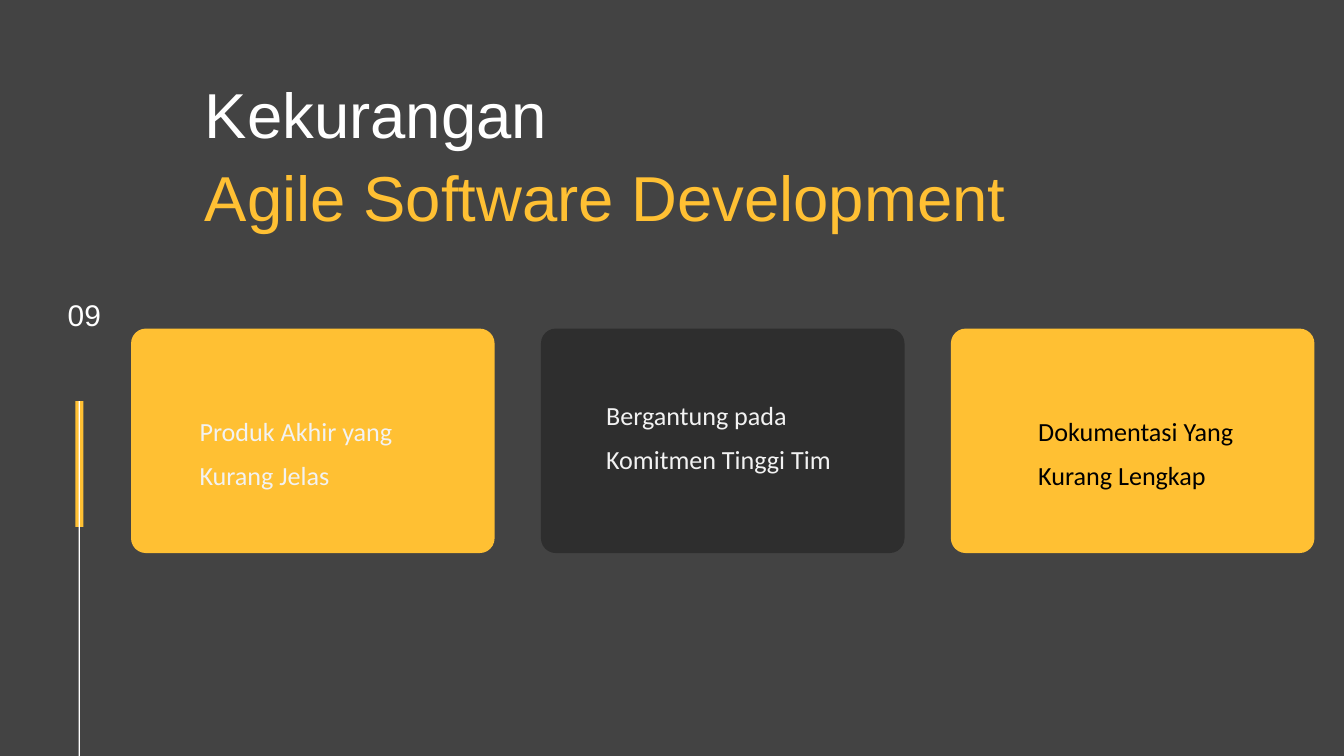
"""Build the slide on the drawbacks of agile software development."""
from dataclasses import dataclass

from pptx import Presentation
from pptx.dml.color import RGBColor
from pptx.enum.shapes import MSO_SHAPE
from pptx.enum.text import MSO_AUTO_SIZE, PP_ALIGN
from pptx.util import Inches, Pt


@dataclass(frozen=True)
class Theme:
    background: str = "434343"
    accent: str = "FFC033"
    dark: str = "2E2E2E"
    white: str = "FFFFFF"
    pale: str = "F2F2F2"
    black: str = "000000"
    heading_font: str = "Arial"
    body_font: str = "Calibri"
    title_size: int = 68
    number_size: int = 32
    body_size: int = 28


THEME = Theme()

TITLE = [("Kekurangan", THEME.white), ("Agile Software Development", THEME.accent)]
PAGE_NUMBER = [("09", THEME.white)]
CARDS = [
    ("Produk Akhir yang Kurang Jelas", THEME.accent, THEME.pale, (2.97, 5.99, 3.87, 1.06)),
    ("Bergantung pada Komitmen Tinggi Tim", THEME.dark, THEME.pale, (9.02, 5.76, 3.52, 1.06)),
    ("Dokumentasi Yang Kurang Lengkap", THEME.accent, THEME.black, (15.45, 6, 2.95, 1.06)),
]
RAIL = [((1.12, 5.97, 0.12, 1.87), THEME.accent), ((1.17, 5.97, 0.02, 6.35), THEME.white)]

CARD_LEFT, CARD_TOP, CARD_WIDTH, CARD_HEIGHT = 1.95, 4.89, 5.41, 3.34
CARD_PITCH = 6.1
CORNER_RADIUS = 0.22


def add_panel(page, kind, place, color):
    panel = page.shapes.add_shape(kind, *map(Inches, place))
    panel.shadow.inherit = False
    panel.fill.solid()
    panel.fill.fore_color.rgb = RGBColor.from_string(color)
    panel.line.fill.background()
    return panel


def add_text(page, place, lines, font, size, spacing=1.0, align=PP_ALIGN.LEFT):
    box = page.shapes.add_textbox(*map(Inches, place))
    frame = box.text_frame
    frame.margin_left = frame.margin_right = frame.margin_top = frame.margin_bottom = 0
    frame.word_wrap = True
    frame.auto_size = MSO_AUTO_SIZE.SHAPE_TO_FIT_TEXT
    frame.text = "\n".join(text for text, color in lines)
    for para, (text, color) in zip(frame.paragraphs, lines):
        para.alignment = align
        para.line_spacing = spacing
        for span in para.runs:
            span.font.name = font
            span.font.size = Pt(size)
            span.font.color.rgb = RGBColor.from_string(color)


deck = Presentation()
deck.slide_width, deck.slide_height = Inches(20), Inches(11.25)
page = deck.slides.add_slide(deck.slide_layouts[6])
page.background.fill.solid()
page.background.fill.fore_color.rgb = RGBColor.from_string(THEME.background)

for place, color in RAIL:
    add_panel(page, MSO_SHAPE.RECTANGLE, place, color)
add_text(page, (0.73, 4.41, 1.05, 0.48), PAGE_NUMBER, THEME.heading_font,
         THEME.number_size, align=PP_ALIGN.CENTER)

for index, (text, fill, ink, text_place) in enumerate(CARDS):
    card_place = (CARD_LEFT + index * CARD_PITCH, CARD_TOP, CARD_WIDTH, CARD_HEIGHT)
    card = add_panel(page, MSO_SHAPE.ROUNDED_RECTANGLE, card_place, fill)
    card.adjustments[0] = CORNER_RADIUS / CARD_HEIGHT
    add_text(page, text_place, [(text, ink)], THEME.body_font, THEME.body_size, 1.4)

add_text(page, (3.05, 1, 16.14, 2.13), TITLE, THEME.heading_font, THEME.title_size, 1.1)

deck.save("out.pptx")
